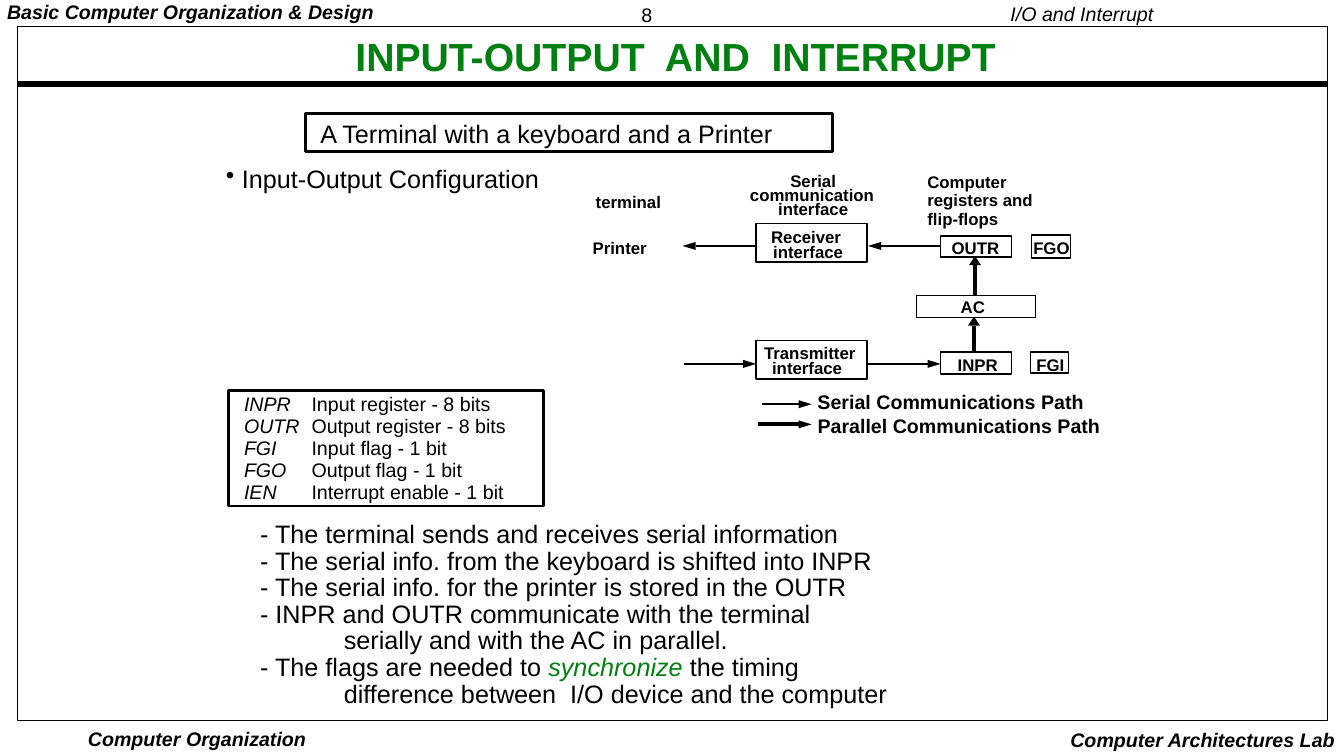
import lxml.etree
import pptx
import pptx.dml.color
import pptx.enum.shapes
import pptx.enum.text
import pptx.oxml.ns
import pptx.util

PX = 9144  # 100 px to the inch
BLACK, GREEN = "000000", "008011"
ALIGN = pptx.enum.text.PP_ALIGN
TIGHT, NARROW, NORMAL = (3, 1), (7, 3), (10, 5)


def rgb(value):
    return pptx.dml.color.RGBColor.from_string(value)


def add_xml(parent, tag, **attributes):
    return lxml.etree.SubElement(parent, pptx.oxml.ns.qn(tag), **attributes)


class Canvas:
    """Holds the style and the current slide."""

    font = "Arial"

    def __init__(self, prs):
        self.shapes = prs.slides.add_slide(prs.slide_layouts[6]).shapes

    def text(self, box, *paragraphs, size=12, bold=False, italic=False, color=BLACK,
             align=ALIGN.LEFT, spacing=0.9, inset=NORMAL, wrap=False,
             margin=0, indent=0, bullet=None):
        """Each paragraph is a string or a list of (text, changed format) runs.

        A paragraph given as (margin, string) has a left margin of its own.
        """
        tf = self.shapes.add_textbox(*(v * PX for v in box)).text_frame
        tf.word_wrap = wrap
        tf.auto_size = pptx.enum.text.MSO_AUTO_SIZE.SHAPE_TO_FIT_TEXT
        tf.margin_left = tf.margin_right = inset[0] * PX
        tf.margin_top = tf.margin_bottom = inset[1] * PX
        for i, content in enumerate(paragraphs):
            p = tf.paragraphs[0] if i == 0 else tf.add_paragraph()
            p.alignment, p.line_spacing = align, spacing
            left = margin
            if isinstance(content, tuple):
                left, content = content
            pPr = p._p.get_or_add_pPr()
            pPr.set("marL", str(left * PX))
            pPr.set("indent", str(indent * PX))
            if bullet:
                add_xml(pPr, "a:buChar", char=bullet)
            runs = [(content, {})] if isinstance(content, str) else content
            for run_text, change in runs:
                r = p.add_run()
                r.text = run_text
                r.font.name, r.font.size = self.font, pptx.util.Pt(size)
                r.font.bold = bold
                r.font.italic = change.get("italic", italic)
                r.font.color.rgb = rgb(change.get("color", color))

    def rect(self, box, weight=1):
        sp = self.shapes.add_shape(pptx.enum.shapes.MSO_SHAPE.RECTANGLE,
                                   *(v * PX for v in box))
        sp.shadow.inherit = False
        sp.fill.background()
        sp.line.color.rgb = rgb(BLACK)
        sp.line.width = pptx.util.Pt(weight)

    def line(self, x1, y1, x2, y2, weight=1):
        cxn = self.shapes.add_connector(pptx.enum.shapes.MSO_CONNECTOR.STRAIGHT,
                                        x1 * PX, y1 * PX, x2 * PX, y2 * PX)
        cxn.line.color.rgb = rgb(BLACK)
        cxn.line.width = pptx.util.Pt(weight)
        add_xml(cxn._element.spPr, "a:effectLst")

    def arrow(self, x1, y1, x2, y2, weight=1):
        """A straight or upright shaft that ends in a solid head at (x2, y2)."""
        if y1 == y2:
            back = x2 - 13 if x2 > x1 else x2 + 13
            corners = [(back, y2 - 4), (back, y2 + 4)]
            self.line(x1, y1, back, y2, weight)
        else:
            back = y2 + 9
            corners = [(x2 - 6, back), (x2 + 6, back)]
            self.line(x1, y1, x2, back, weight)
        builder = self.shapes.build_freeform(x2, y2, scale=PX)
        builder.add_line_segments(corners, close=True)
        sp = builder.convert_to_shape()
        sp.shadow.inherit = False
        sp.fill.solid()
        sp.fill.fore_color.rgb = rgb(BLACK)
        sp.line.fill.background()


def main():
    prs = pptx.Presentation()
    prs.slide_width, prs.slide_height = 1333 * PX, 750 * PX
    s = Canvas(prs)

    # Header, footer and frame
    s.text((629, 0, 38, 29), "8", size=14, spacing=1.01, inset=NARROW)
    s.text((0, 0, 380, 27), "Basic Computer Organization & Design",
           size=14, bold=True, italic=True, inset=NARROW)
    s.text((992, 0, 162, 31), "I/O and Interrupt", size=14, italic=True, align=ALIGN.RIGHT)
    s.text((84, 720, 223, 26), "Computer Organization", size=14, bold=True,
           italic=True, align=ALIGN.CENTER, spacing=1.0, inset=TIGHT)
    s.text((1050, 717, 284, 33), "Computer Architectures Lab", size=14, bold=True,
           italic=True, align=ALIGN.RIGHT, spacing=1.0)
    s.line(17, 83, 1316, 83, 4.5)
    s.rect((17, 26, 1300, 689), 0.5)

    # Title and headings
    s.text((275, 36, 790, 46), "INPUT-OUTPUT  AND  INTERRUPT", size=28, bold=True,
           color=GREEN, align=ALIGN.CENTER, spacing=0.87, inset=NARROW, wrap=True)
    s.rect((303, 113, 523, 37), 2)
    s.text((308, 116, 477, 37), "A Terminal with a keyboard and a Printer", size=18)
    s.text((217, 164, 327, 31), "Input-Output Configuration", size=18, spacing=0.85,
           inset=NARROW, margin=16, indent=-16, bullet="•")

    # Register list
    registers = [("INPR", "Input register - 8 bits"), ("OUTR", "Output register - 8 bits"),
                 ("FGI", "Input flag - 1 bit"), ("FGO", "Output flag - 1 bit"),
                 ("IEN", "Interrupt enable - 1 bit")]
    s.rect((227, 387, 312, 115), 2)
    s.text((235, 388, 425, 115),
           *([(name, {"italic": True}), ("\t" + meaning, {})] for name, meaning in registers),
           size=14, align=ALIGN.JUSTIFY, spacing=0.93, inset=NARROW, wrap=True,
           margin=67, indent=-67)

    # Explanation
    s.text((251, 515, 642, 192),
           "- The terminal sends and receives serial information",
           "- The serial info. from the keyboard is shifted into INPR",
           "- The serial info. for the printer is stored in the OUTR",
           "- INPR and OUTR communicate with the terminal",
           (83, "serially and with the AC in parallel."),
           [("- The flags are needed to ", {}),
            ("synchronize", {"italic": True, "color": GREEN}), (" the timing", {})],
           (83, "difference between  I/O device and the computer"),
           size=18, spacing=0.88, inset=NARROW)

    # Diagram boxes
    for box in [(750, 222, 110, 38), (750, 338, 110, 38),
                (933, 234, 70, 21), (1023, 233, 39, 23), (909, 293, 118, 22),
                (933, 349, 70, 22), (1022, 349, 38, 21)]:
        s.rect(box)

    # Diagram labels
    for label, x, y, width in [
            ("terminal", 581, 188, 85), ("Printer", 578, 233, 74),
            ("Serial", 774, 167, 66), ("communication", 734, 181, 144),
            ("interface", 762, 194, 90),
            ("Receiver", 755, 222, 90), ("interface", 757, 237, 90),
            ("Transmitter", 748, 337, 111), ("interface", 756, 352, 90),
            ("OUTR", 934, 233, 68), ("FGO", 1015, 233, 57), ("AC", 943, 292, 44),
            ("INPR", 940, 349, 60), ("FGI", 1018, 349, 48)]:
        s.text((x, y, width, 28), label, bold=True)
    s.text((910, 168, 126, 83), "Computer", "registers and", "flip-flops", bold=True)

    # Serial and parallel paths
    s.arrow(932, 244, 861, 244)
    s.arrow(749, 244, 677, 244)
    s.arrow(678, 361, 750, 361)
    s.arrow(861, 361, 933, 361)
    s.arrow(966, 349, 966, 314, 3)
    s.arrow(967, 293, 967, 254, 3)

    # Legend
    s.arrow(756, 401, 805, 401)
    s.arrow(752, 421, 805, 421, 3)
    s.text((801, 385, 286, 31), "Serial Communications Path", size=14, bold=True)
    s.text((801, 408, 302, 31), "Parallel Communications Path", size=14, bold=True)

    prs.save("out.pptx")


if __name__ == "__main__":
    main()
